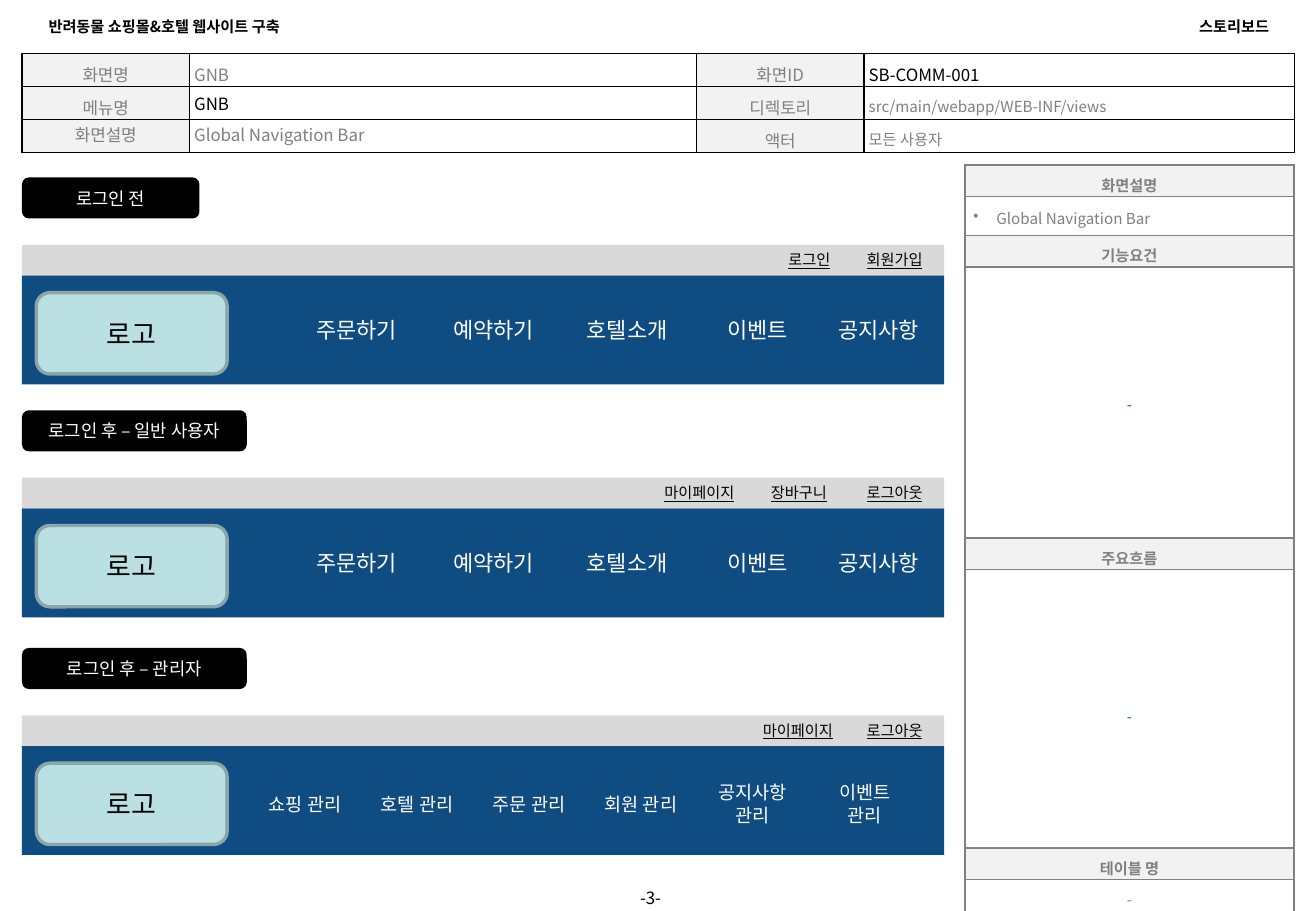
from dataclasses import dataclass

from lxml import etree
from pptx import Presentation
from pptx.dml.color import RGBColor
from pptx.enum.shapes import MSO_SHAPE
from pptx.enum.text import MSO_ANCHOR, MSO_AUTO_SIZE, PP_ALIGN
from pptx.oxml.ns import qn
from pptx.util import Cm, Pt

RECTANGLE = MSO_SHAPE.RECTANGLE
ROUNDED = MSO_SHAPE.ROUNDED_RECTANGLE
LEFT, CENTER, RIGHT = PP_ALIGN.LEFT, PP_ALIGN.CENTER, PP_ALIGN.RIGHT
TOP, MIDDLE = MSO_ANCHOR.TOP, MSO_ANCHOR.MIDDLE
GROW, FIXED = MSO_AUTO_SIZE.SHAPE_TO_FIT_TEXT, MSO_AUTO_SIZE.NONE

FONT = "Noto Sans CJK KR"
BLACK = RGBColor(0x00, 0x00, 0x00)
WHITE = RGBColor(0xFF, 0xFF, 0xFF)
GRAY = RGBColor(0x80, 0x80, 0x80)
LABEL_FILL = RGBColor(0xF2, 0xF2, 0xF2)
UTILITY_FILL = RGBColor(0xD9, 0xD9, 0xD9)
NAVY = RGBColor(0x0F, 0x4C, 0x81)
LOGO_FILL = RGBColor(0xBB, 0xE0, 0xE3)
LOGO_LINE = RGBColor(0x8A, 0xA6, 0xA8)
RED = RGBColor(0xFF, 0x00, 0x00)
BLUE = RGBColor(0x00, 0x70, 0xC0)

BAR_LEFT, BAR_WIDTH = 0.46, 19.28
HEADER_MARGINS = (0.1, 0.1, 0.1, 0.1)
SIDE_MARGINS = (0.18, 0.18, 0.18, 0.1)


@dataclass
class Entry:
    text: str
    size: float = 10
    color: RGBColor = GRAY
    fill: RGBColor = WHITE
    bold: bool = False
    align: PP_ALIGN = CENTER
    line_spacing: object = None
    space: float = 3
    bullet: bool = False


def format_text(text_frame, text, size, color, align=CENTER, bold=False, underline=False):
    text_frame.text = text
    for paragraph in text_frame.paragraphs:
        paragraph.alignment = align
        for run in paragraph.runs:
            run.font.name = FONT
            run.font.size = Pt(size)
            run.font.bold = bold
            run.font.underline = underline
            run.font.color.rgb = color
            east_asian = etree.SubElement(run.font._element, qn("a:ea"))
            east_asian.set("typeface", FONT)


def add_box(slide, kind, left, top, width, height, fill, line=None, text="", size=10, color=WHITE):
    shape = slide.shapes.add_shape(kind, Cm(left), Cm(top), Cm(width), Cm(height))
    shape.shadow.inherit = False
    shape.fill.solid()
    shape.fill.fore_color.rgb = fill
    if line is None:
        shape.line.fill.background()
    else:
        shape.line.color.rgb = line
        shape.line.width = Pt(2)
    if text:
        shape.text_frame.vertical_anchor = MIDDLE
        format_text(shape.text_frame, text, size, color)


def add_label(slide, left, top, width, height, text, size=9, align=CENTER,
              anchor=MIDDLE, bold=False, underline=False, auto_size=GROW):
    label = slide.shapes.add_textbox(Cm(left), Cm(top), Cm(width), Cm(height))
    text_frame = label.text_frame
    text_frame.word_wrap = True
    text_frame.auto_size = auto_size
    text_frame.vertical_anchor = anchor
    format_text(text_frame, text, size, BLACK, align, bold, underline)
    return text_frame


def set_margins(target, margins):
    (target.margin_left, target.margin_right,
     target.margin_top, target.margin_bottom) = map(Cm, margins)


def add_borders(cell, color):
    properties = cell._tc.get_or_add_tcPr()
    for side in ("a:lnL", "a:lnR", "a:lnT", "a:lnB"):
        line = etree.SubElement(properties, qn(side), w=str(Pt(1)))
        fill = etree.SubElement(line, qn("a:solidFill"))
        etree.SubElement(fill, qn("a:srgbClr"), val=str(color))


def add_bullet(paragraph):
    properties = paragraph._p.get_or_add_pPr()
    properties.set("marL", str(Cm(0.48)))
    properties.set("indent", str(-Cm(0.48)))
    etree.SubElement(properties, qn("a:buChar"), char="•")


def fill_cell(cell, entry, margins, border):
    set_margins(cell, margins)
    cell.vertical_anchor = MIDDLE
    add_borders(cell, border)
    cell.fill.solid()
    cell.fill.fore_color.rgb = entry.fill
    format_text(cell.text_frame, entry.text, entry.size, entry.color, entry.align, entry.bold)
    paragraph = cell.text_frame.paragraphs[0]
    paragraph.line_spacing = entry.line_spacing
    paragraph.space_before = paragraph.space_after = Pt(entry.space)
    if entry.bullet:
        add_bullet(paragraph)


def add_grid(slide, left, top, widths, heights, rows, margins, border):
    frame = slide.shapes.add_table(len(heights), len(widths), Cm(left), Cm(top),
                                   Cm(sum(widths)), Cm(sum(heights)))
    table = frame.table
    table.first_row = table.horz_banding = False
    for column, width in zip(table.columns, widths):
        column.width = Cm(width)
    for row, height, entries in zip(table.rows, heights, rows):
        row.height = Cm(height)
        for cell, entry in zip(row.cells, entries):
            fill_cell(cell, entry, margins, border)


def name_entry(text, line_spacing=1.15, space=3):
    return Entry(text, fill=LABEL_FILL, line_spacing=line_spacing, space=space)


def value_entry(text, size=10, color=GRAY, line_spacing=1.15, space=3):
    return Entry(text, size, color, align=LEFT, line_spacing=line_spacing, space=space)


def heading_entry(text):
    return Entry(text, 9, fill=LABEL_FILL, bold=True)


def add_screen_table(slide):
    rows = [
        [name_entry("화면명"), value_entry("GNB"),
         name_entry("화면ID"), value_entry("SB-COMM-001", color=BLACK)],
        [name_entry("메뉴명"), value_entry("GNB", color=BLACK, line_spacing=None, space=0),
         name_entry("디렉토리"), value_entry("src/main/webapp/WEB-INF/views", 9)],
        [name_entry("화면설명", Pt(12), 0),
         value_entry("Global Navigation Bar", line_spacing=Pt(12), space=0),
         name_entry("액터"), value_entry("모든 사용자", 9)],
    ]
    add_grid(slide, BAR_LEFT, 1.12, [3.5, 10.6, 3.5, 9], [0.69] * 3, rows, HEADER_MARGINS, BLACK)


def add_side_tables(slide):
    description = [
        [heading_entry("화면설명")],
        [Entry("Global Navigation Bar", 9, align=LEFT, bullet=True)],
        [heading_entry("기능요건")],
        [Entry("-", 9, RED, space=0)],
        [heading_entry("주요흐름")],
        [Entry("-", 9, BLUE, space=0)],
    ]
    add_grid(slide, 20.17, 3.45, [6.88], [0.66, 0.81, 0.66, 5.66, 0.66, 6.05],
             description, SIDE_MARGINS, GRAY)
    table_names = [[heading_entry("테이블 명")], [Entry("-", 9)]]
    add_grid(slide, 20.17, 17.73, [6.88], [0.66, 0.66], table_names, SIDE_MARGINS, GRAY)


def add_navigation(slide, top, badge, badge_width, links, menus, menu_top, menu_width, menu_size):
    add_box(slide, ROUNDED, BAR_LEFT, top, badge_width, 0.86, BLACK, text=badge, size=10.5)
    add_box(slide, RECTANGLE, BAR_LEFT, top + 2.05, BAR_WIDTH, 2.28, NAVY)
    add_box(slide, RECTANGLE, BAR_LEFT, top + 1.41, BAR_WIDTH, 0.64, UTILITY_FILL)
    for text, left, width in links:
        add_label(slide, left, top + 1.41, width, 0.64, text, anchor=TOP, underline=True)
    add_box(slide, ROUNDED, 0.76, top + 2.41, 3.99, 1.7, LOGO_FILL, LOGO_LINE, "로고", 16, BLACK)
    for text, left in menus:
        add_box(slide, RECTANGLE, left, top + menu_top, menu_width, 1.19, NAVY,
                text=text, size=menu_size)


def add_title(slide):
    title = slide.shapes.title
    title.left, title.top, title.width, title.height = Cm(0.76), Cm(0.23), Cm(7.6), Cm(0.64)
    title.text_frame.vertical_anchor = MIDDLE
    title.text_frame.auto_size = FIXED
    format_text(title.text_frame, "반려동물 쇼핑몰&호텔 웹사이트 구축", 9, BLACK, LEFT, True)


def main():
    presentation = Presentation()
    presentation.slide_width, presentation.slide_height = Cm(27.51), Cm(19.05)
    slide = presentation.slides.add_slide(presentation.slide_layouts[5])
    add_title(slide)
    add_label(slide, 19.18, 0.23, 7.6, 0.64, "스토리보드", align=RIGHT, bold=True)
    page_number = add_label(slide, 12.6, 18.57, 2, 0.4, "-3-", 10, auto_size=FIXED)
    set_margins(page_number, HEADER_MARGINS)
    add_screen_table(slide)
    add_side_tables(slide)

    user_menus = [("주문하기", 6.25), ("예약하기", 9.12), ("호텔소개", 11.91),
                  ("이벤트", 14.63), ("공지사항", 17.17)]
    admin_names = ["쇼핑 관리", "호텔 관리", "주문 관리", "회원 관리",
                   "공지사항\n관리", "이벤트\v관리"]
    admin_menus = [(name, 5.2 + 2.34 * index) for index, name in enumerate(admin_names)]
    logout = ("로그아웃", 17.7, 2)
    add_navigation(slide, 3.71, "로그인 전", 3.71,
                   [("로그인", 15.92, 2), ("회원가입", 17.7, 2)], user_menus, 2.59, 2.4, 13)
    add_navigation(slide, 8.58, "로그인 후 – 일반 사용자", 4.7,
                   [("마이페이지", 13.54, 2.16), ("장바구니", 15.7, 2), logout],
                   user_menus, 2.59, 2.4, 13)
    add_navigation(slide, 13.55, "로그인 후 – 관리자", 4.7,
                   [("마이페이지", 15.6, 2.16), logout], admin_menus, 2.66, 2.36, 11)
    presentation.save("out.pptx")


main()
